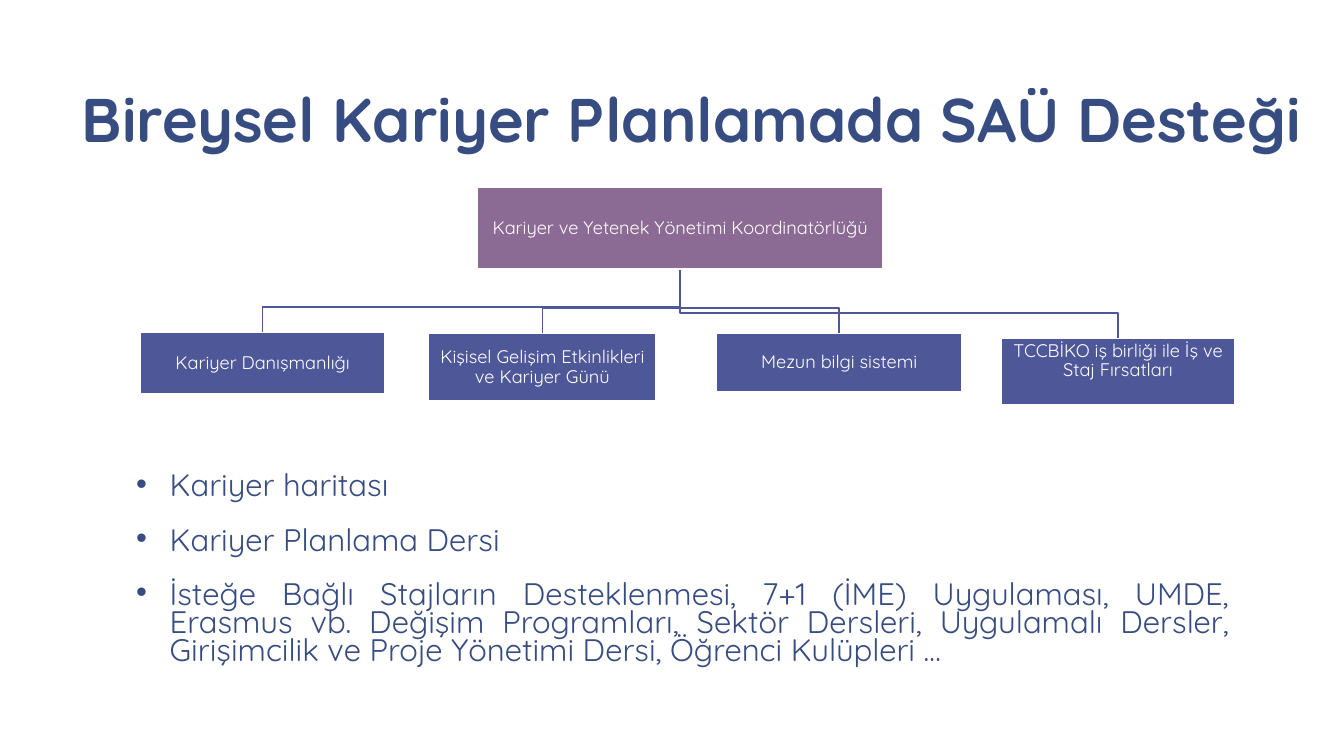
from lxml.etree import SubElement
from pptx import Presentation
from pptx.dml.color import RGBColor
from pptx.enum.shapes import MSO_SHAPE
from pptx.enum.text import MSO_ANCHOR, PP_ALIGN
from pptx.oxml.ns import qn
from pptx.util import Pt

NAVY, INDIGO, PLUM, WHITE = "374C81", "4E5798", "8B6A94", "FFFFFF"
HEADING = "Bireysel Kariyer Planlamada SAÜ Desteği"
COORDINATOR = ("Kariyer ve Yetenek Yönetimi Koordinatörlüğü", 240.6, 0, 290.2, 58.3)
SERVICES = [
    ("Kariyer Danışmanlığı", 0, 103.6, 175, 43.9, 1),
    ("Kişisel Gelişim Etkinlikleri ve Kariyer Günü", 206, 104.3, 162.7, 48.2, 1),
    ("Mezun bilgi sistemi", 411.9, 104.3, 175, 41.8, 1),
    ("TCCBİKO iş birliği ile İş ve Staj Fırsatları", 615, 108, 167, 46.8, 16),
]
SUPPORTS = [
    ("Kariyer haritası", PP_ALIGN.LEFT),
    ("Kariyer Planlama Dersi", PP_ALIGN.LEFT),
    ("İsteğe Bağlı Stajların Desteklenmesi, 7+1 (İME) Uygulaması, UMDE, "
     "Erasmus vb. Değişim Programları, Sektör Dersleri, Uygulamalı Dersler, "
     "Girişimcilik ve Proje Yönetimi Dersi, Öğrenci Kulüpleri …", PP_ALIGN.JUSTIFY),
]


def color(code):
    return RGBColor.from_string(code)


def set_all(target, values):
    for name, value in values.items():
        setattr(target, name, value)


def frame_text(frame, anchor, side, top, bottom):
    set_all(frame, {
        "word_wrap": True, "vertical_anchor": anchor,
        "margin_left": Pt(side), "margin_right": Pt(side),
        "margin_top": Pt(top), "margin_bottom": Pt(bottom),
    })


def write(paragraph, words, size, code, bold=False, **layout):
    set_all(paragraph, layout)
    run = paragraph.add_run()
    run.text = words
    set_all(run.font, {"name": "Quicksand", "size": Pt(size), "bold": bold})
    run.font.color.rgb = color(code)


def add_heading(slide, left, top, width, height):
    frame = slide.shapes.add_textbox(Pt(left), Pt(top), Pt(width), Pt(height)).text_frame
    frame_text(frame, MSO_ANCHOR.BOTTOM, 9.4, 5, 5)
    write(frame.paragraphs[0], HEADING, 44, NAVY, bold=True, line_spacing=0.85)


def add_unit(slide, words, left, top, width, height, fill, bottom=1):
    unit = slide.shapes.add_shape(
        MSO_SHAPE.RECTANGLE, Pt(left), Pt(top), Pt(width), Pt(height))
    unit.shadow.inherit = False
    unit.fill.solid()
    unit.fill.fore_color.rgb = color(fill)
    unit.line.color.rgb = color(WHITE)
    unit.line.width = Pt(1)
    frame_text(unit.text_frame, MSO_ANCHOR.MIDDLE, 1, 1, bottom)
    write(unit.text_frame.paragraphs[0], words, 13, WHITE,
          alignment=PP_ALIGN.CENTER, line_spacing=0.9)


def add_branch(slide, start_x, start_y, end_x, end_y):
    bend_y = end_y - 18.3
    builder = slide.shapes.build_freeform(Pt(start_x), Pt(start_y))
    builder.add_line_segments(
        [(Pt(x), Pt(y)) for x, y in
         ((start_x, bend_y), (end_x, bend_y), (end_x, end_y))], close=False)
    branch = builder.convert_to_shape()
    branch.shadow.inherit = False
    branch.fill.background()
    branch.line.color.rgb = color(INDIGO)
    branch.line.width = Pt(1)


def add_organisation(slide, left, top):
    name, x, y, width, height = COORDINATOR
    for _, child_x, child_y, child_width, _, _ in reversed(SERVICES):
        add_branch(slide, left + x + width / 2, top + y + height,
                   left + child_x + child_width / 2, top + child_y)
    add_unit(slide, name, left + x, top + y, width, height, PLUM)
    for name, x, y, width, height, bottom in SERVICES:
        add_unit(slide, name, left + x, top + y, width, height, INDIGO, bottom)


def add_supports(slide, left, top, width, height):
    frame = slide.shapes.add_textbox(Pt(left), Pt(top), Pt(width), Pt(height)).text_frame
    frame_text(frame, MSO_ANCHOR.TOP, 9.4, 5, 5)
    for index, (words, alignment) in enumerate(SUPPORTS):
        paragraph = frame.add_paragraph() if index else frame.paragraphs[0]
        write(paragraph, words, 22.2, NAVY, alignment=alignment,
              line_spacing=0.75, space_before=Pt(18.7 if index else 0))
        properties = paragraph._p.get_or_add_pPr()
        properties.set("marL", str(Pt(24)))
        properties.set("indent", str(Pt(-24)))
        SubElement(properties, qn("a:buFont")).set("typeface", "Arial")
        SubElement(properties, qn("a:buChar")).set("char", "•")


def main():
    deck = Presentation()
    set_all(deck, {"slide_width": Pt(960), "slide_height": Pt(540)})
    slide = deck.slides.add_slide(deck.slide_layouts[6])
    slide.background.fill.solid()
    slide.background.fill.fore_color.rgb = color(WHITE)
    add_heading(slide, 49, 5.8, 901.4, 110.2)
    add_supports(slide, 87.8, 334, 800, 152)
    add_organisation(slide, 100, 134)
    deck.save("out.pptx")


if __name__ == "__main__":
    main()
